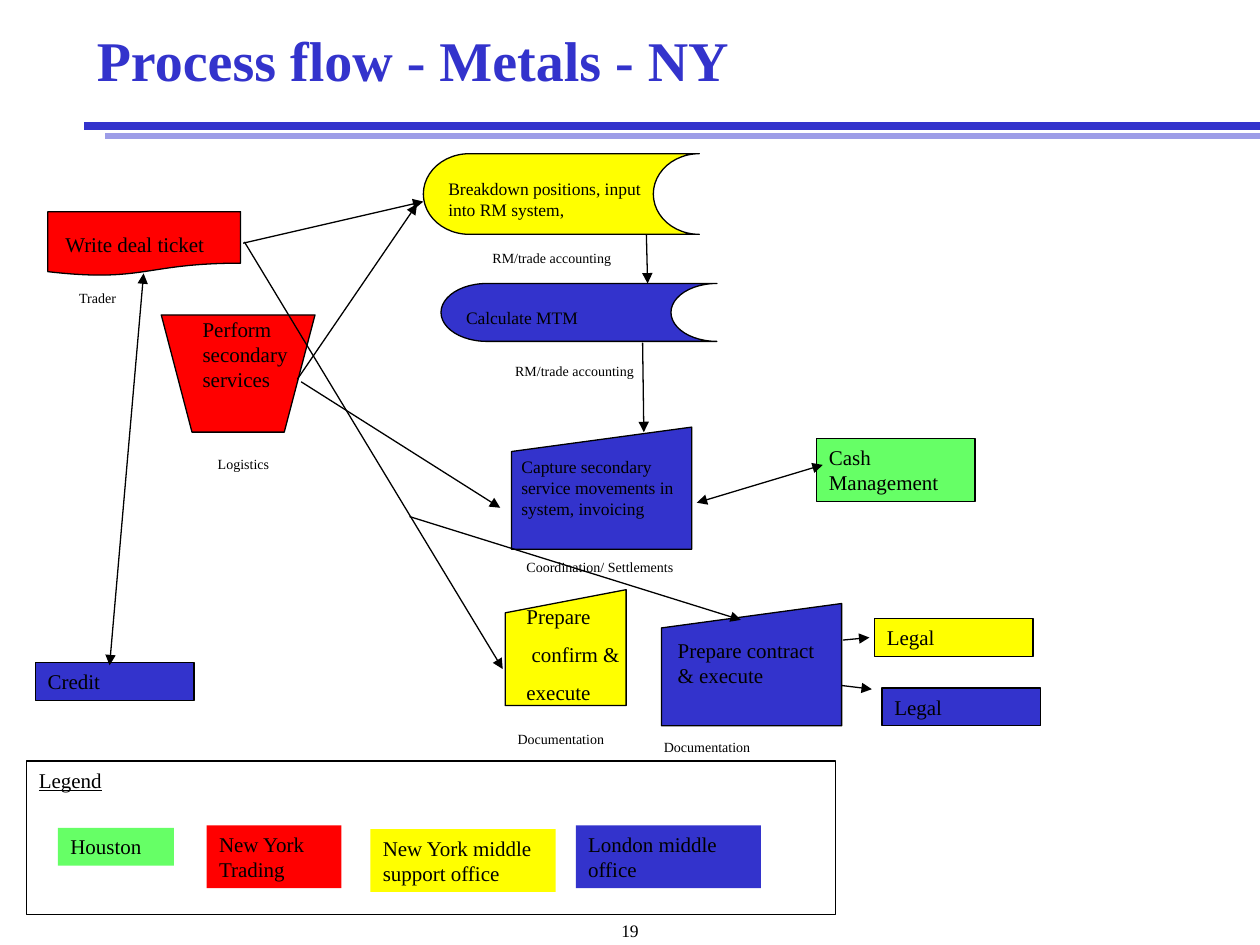
from pptx import Presentation, util as u
from pptx.dml.color import RGBColor
from pptx.enum import shapes, text
from pptx.oxml.ns import qn
from lxml import etree

FONT = "Times New Roman"
BLUE, PALE, RED, YELLOW, GREEN, BLACK = (
    "3333CC", "9D9DE7", "FF0000", "FFFF00", "66FF66", "000000")
KIND = shapes.MSO_SHAPE
RECT = KIND.RECTANGLE
INPUT = KIND.FLOWCHART_MANUAL_INPUT
STORE = KIND.FLOWCHART_STORED_DATA

RULES = [((10, 1), (0.67, 1), BLUE, 4.5), ((10, 1.08), (0.83, 1.08), PALE, 3)]

KEYS = [
    ("Houston", GREEN, (0.46, 6.57, 0.92, 0.3)),
    ("New York Trading", RED, (1.64, 6.55, 1.07, 0.5)),
    ("New York middle support office", YELLOW, (2.94, 6.58, 1.47, 0.5)),
    ("London middle office", BLUE, (4.57, 6.55, 1.47, 0.5)),
]

UNITS = [
    ("Credit", BLUE, (0.28, 5.26, 1.26, 0.3)),
    ("Cash Management", GREEN, (6.48, 3.48, 1.26, 0.5)),
    ("Legal", YELLOW, (6.94, 4.91, 1.26, 0.3)),
    ("Legal", BLUE, (7, 5.46, 1.26, 0.3)),
]

STEPS = [
    (KIND.FLOWCHART_DOCUMENT, RED, (0.38, 1.68, 1.53, 0.51),
     ["Write deal ticket"], (0.42, 1.79, 1.72, 0.3), 12),
    (KIND.FLOWCHART_MANUAL_OPERATION, RED, (1.28, 2.5, 1.22, 0.93),
     ["Perform secondary services"], (1.51, 2.46, 0.9, 0.7), 12),
    (STORE, YELLOW, (3.36, 1.22, 2.19, 0.64),
     ["Breakdown positions, input into RM system,"],
     (3.46, 1.36, 1.85, 0.44), 10),
    (STORE, BLUE, (3.5, 2.25, 2.19, 0.46),
     ["Calculate MTM"], (3.6, 2.39, 1.85, 0.27), 10),
    (INPUT, BLUE, (4.06, 3.39, 1.43, 0.97),
     ["Capture secondary service movements in system, invoicing"],
     (4.04, 3.57, 1.43, 0.6), 10),
    (INPUT, YELLOW, (4.01, 4.68, 0.96, 0.92),
     ["Prepare", "confirm &", "execute"], (4.08, 4.74, 1.01, 0.91), 12),
    (INPUT, BLUE, (5.25, 4.79, 1.43, 0.97),
     ["Prepare contract & execute"], (5.28, 5.01, 1.43, 0.5), 12),
]

OWNERS = [
    ("Trader", 0.53, 2.25), ("Logistics", 1.63, 3.57),
    ("RM/trade accounting", 3.81, 1.93), ("RM/trade accounting", 3.99, 2.83),
    ("Coordination/ Settlements", 4.08, 4.38),
    ("Documentation", 4.01, 5.75), ("Documentation", 5.17, 5.81),
]

BACK = ((5.43, 5.29), (6.92, 5.47), True)
FLOWS = [
    ((1.14, 2.17), (0.87, 5.28), True),
    ((1.93, 1.93), (3.36, 1.6), False),
    ((2.36, 3.01), (3.31, 1.62), False),
    ((2.39, 3.03), (3.97, 4.03), False),
    ((1.94, 1.92), (3.99, 5.31), False),
    ((5.53, 3.99), (6.53, 3.69), True),
    ((5.13, 1.86), (5.14, 2.25), False),
    ((5.1, 2.72), (5.11, 3.43), False),
    ((3.25, 4.1), (5.88, 4.92), False),
    ((6.69, 5.08), (6.9, 5.06), False),
]

deck = Presentation()
deck.slide_width, deck.slide_height = u.Inches(10), u.Inches(7.5)
slide = deck.slides.add_slide(deck.slide_layouts[6])
pool = slide.shapes


def color(code):
    return RGBColor.from_string(code)


def inch(vals):
    return [u.Inches(v) for v in vals]


def write(shape, words, size=12, hue=BLACK, anchor="TOP", align="LEFT", **style):
    frame = shape.text_frame
    frame.word_wrap = True
    frame.vertical_anchor = getattr(text.MSO_ANCHOR, anchor)
    for i, line in enumerate(words):
        para = frame.add_paragraph() if i else frame.paragraphs[0]
        para.text = line
        para.alignment = getattr(text.PP_ALIGN, align)
        if i:
            para.space_before = u.Pt(size * 0.62)
        look = {"name": FONT, "size": u.Pt(size), **style}
        for key, val in look.items():
            setattr(para.font, key, val)
        para.font.color.rgb = color(hue)
    return frame


def label(words, box, size, **style):
    return write(pool.add_textbox(*inch(box)), words, size, **style)


def block(kind, box, fill=None, edge=True):
    shape = pool.add_shape(kind, *inch(box))
    shape.shadow.inherit = False
    if fill:
        shape.fill.solid()
        shape.fill.fore_color.rgb = color(fill)
    else:
        shape.fill.background()
    if edge:
        shape.line.color.rgb = color(BLACK)
        shape.line.width = u.Pt(0.75)
    else:
        shape.line.fill.background()
    return shape


def link(start, end, hue=BLACK, width=0.75, tips=()):
    line = pool.add_connector(
        shapes.MSO_CONNECTOR.STRAIGHT, *inch(start + end))
    line.line.color.rgb = color(hue)
    line.line.width = u.Pt(width)
    props = line._element.spPr
    for tip in tips:
        etree.SubElement(props.find(qn("a:ln")), qn("a:" + tip), type="triangle")
    etree.SubElement(props, qn("a:effectLst"))


def flow(start, end, both):
    link(start, end, tips=("headEnd", "tailEnd") if both else ("tailEnd",))


for rule in RULES:
    link(*rule)
title = label(["Process flow - Metals - NY"], (0.67, 0, 9.08, 1), 32,
              hue=BLUE, anchor="MIDDLE", bold=True)
title.paragraphs[0].line_spacing = 0.9

write(block(RECT, (0.21, 6.04, 6.42, 1.22)), ["Legend"], underline=True)
for name, fill, box in KEYS:
    write(block(RECT, box, fill, False), [name])
for name, fill, box in UNITS:
    write(block(RECT, box, fill), [name])

flow(*BACK)
for kind, fill, box, words, spot, size in STEPS:
    block(kind, box, fill)
    frame = label(words, spot, size)
    if len(words) > 1:
        frame.paragraphs[1]._p.get_or_add_pPr().set("indent", str(u.Inches(0.04)))
for name, left, top in OWNERS:
    label([name], (left, top, 1.46, 0.24), 8)
for item in FLOWS:
    flow(*item)

label(["19"], (0, 7.25, 10, 0.17), 10, align="CENTER")
deck.save("out.pptx")
